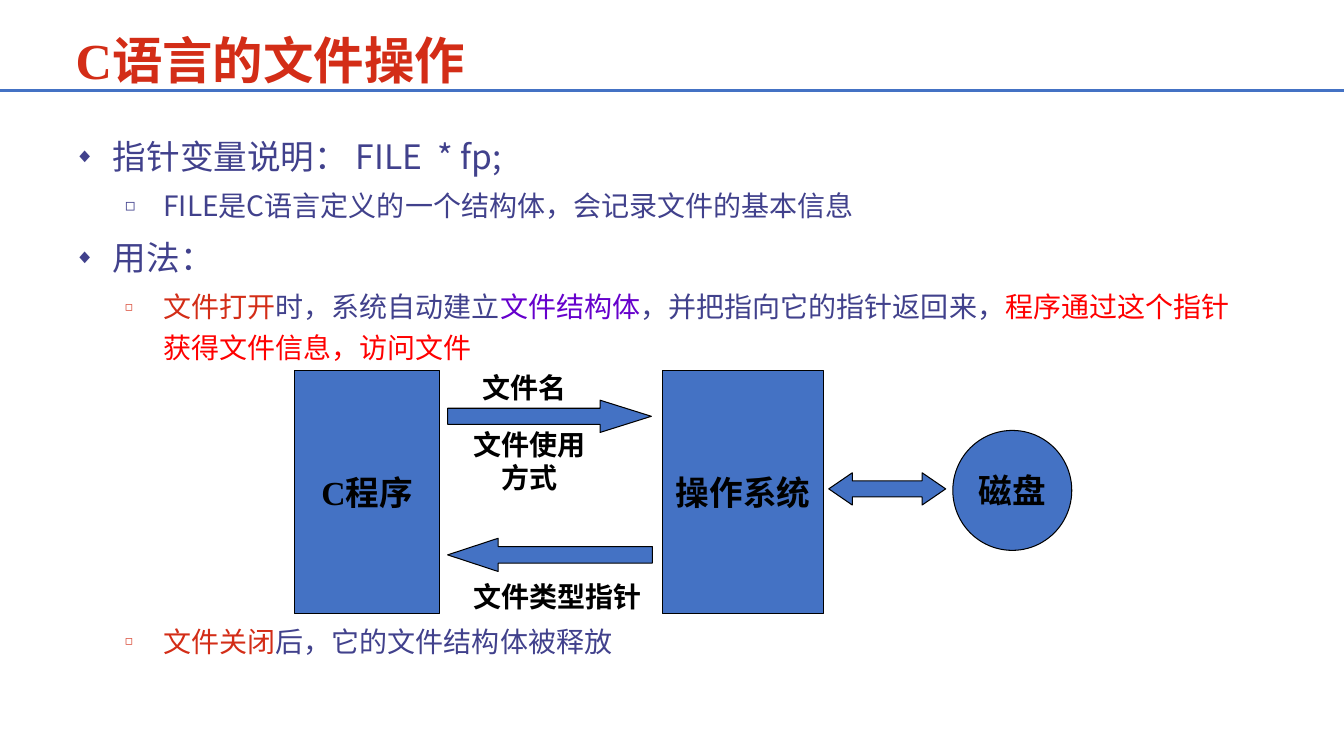
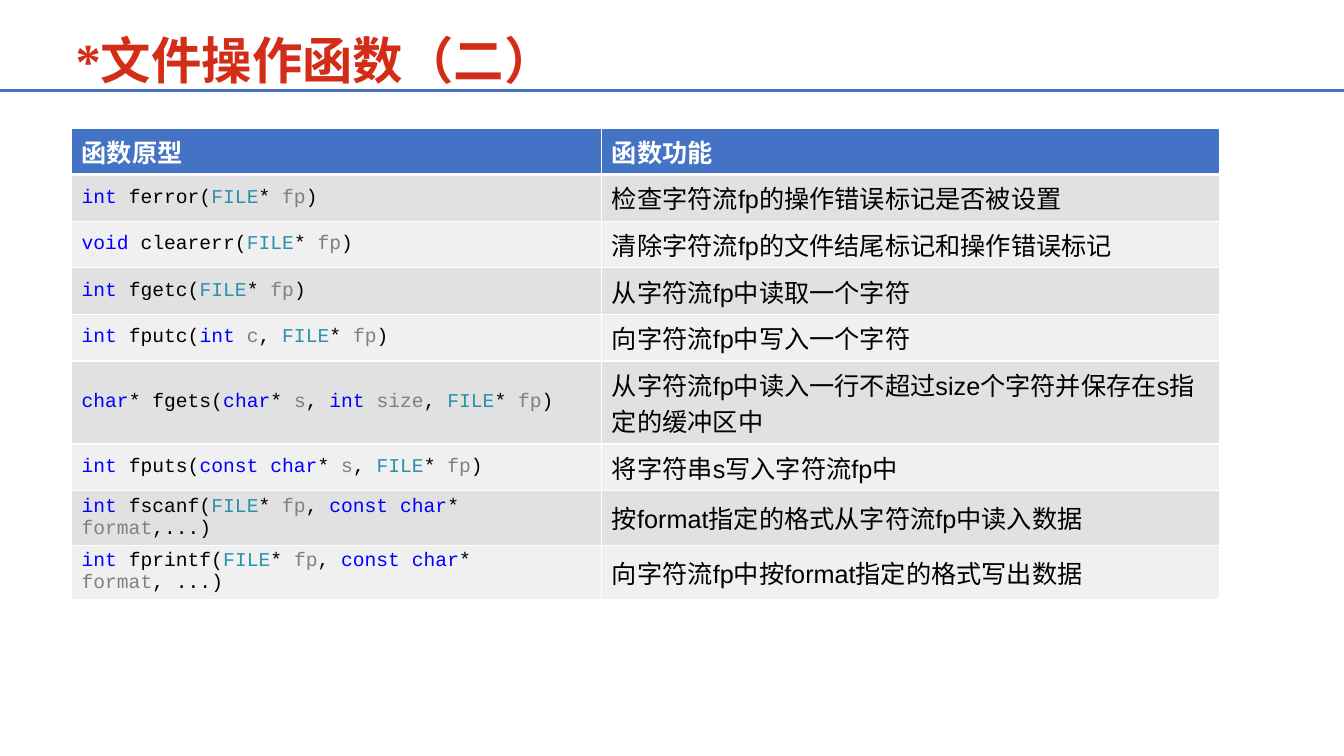
from itertools import groupby

from lxml import etree
from pptx import Presentation
from pptx.dml.color import RGBColor
from pptx.enum import shapes, text
from pptx.oxml import ns
from pptx.util import Inches, Pt

COLORS = {
    "title": "D32D17", "body": "41418C", "accent": "4472C4", "black": "000000",
    "white": "FFFFFF", "purple": "6600CC", "red": "FF0000",
    "keyword": "0000FF", "type": "2B91AF", "parameter": "808080",
    "odd_row": "E1E1E1", "even_row": "F0F0F0",
}
SERIF, SANS, MONO, CJK = "Times New Roman", "Arial", "Courier New", "Noto Sans CJK SC"
SLIDE_WIDTH, SLIDE_HEIGHT = 13.33, 7.5

# Bullet levels: character, font size, left margin
LEVELS = [("◆", 24, 0.38), ("◻", 20, 0.88)]
HANGING = 0.38

# Level, bullet size in percent, space before in points, coloured runs
USAGE_LIST = [
    (0, 60, 0, [("指针变量说明： FILE  * fp;", "body")]),
    (1, 60, 4, [("FILE是C语言定义的一个结构体，会记录文件的基本信息", "body")]),
    (0, 60, 5, [("用法：", "body")]),
    (1, 45, 4, [("文件打开", "title"), ("时，系统自动建立", "body"),
                ("文件结构体", "purple"), ("，并把指向它的指针返回来，", "body"),
                ("程序通过这个指针获得文件信息，访问文件", "red")]),
    (1, 45, 181, [("文件关闭", "title"), ("后，它的文件结构体被释放", "body")]),
]

TABLE_HEADER = ("函数原型", "函数功能")
FUNCTIONS = [
    ("int ferror(FILE* fp)", "检查字符流fp的操作错误标记是否被设置"),
    ("void clearerr(FILE* fp)", "清除字符流fp的文件结尾标记和操作错误标记"),
    ("int fgetc(FILE* fp)", "从字符流fp中读取一个字符"),
    ("int fputc(int c, FILE* fp)", "向字符流fp中写入一个字符"),
    ("char* fgets(char* s, int size, FILE* fp)",
     "从字符流fp中读入一行不超过size个字符并保存在s指定的缓冲区中"),
    ("int fputs(const char* s, FILE* fp)", "将字符串s写入字符流fp中"),
    ("int fscanf(FILE* fp, const char* format,...)",
     "按format指定的格式从字符流fp中读入数据"),
    ("int fprintf(FILE* fp, const char* format, ...)",
     "向字符流fp中按format指定的格式写出数据"),
]
SYNTAX = {
    **dict.fromkeys(("int", "void", "char", "const"), "keyword"),
    "FILE": "type",
    **dict.fromkeys(("fp", "c", "s", "size", "format"), "parameter"),
}


def rgb(name):
    return RGBColor.from_string(COLORS[name])


def add_element(parent, tag, **attributes):
    return etree.SubElement(parent, ns.qn(tag), attributes)


def style_run(run, size, color, face, bold=False):
    run.font.size = Pt(size)
    run.font.bold = bold
    run.font.color.rgb = rgb(color)
    run.font.name = face
    latin = run.font._element.find(ns.qn("a:latin"))
    latin.addnext(latin.makeelement(ns.qn("a:ea"), {"typeface": CJK}))


def add_run(paragraph, words, *style):
    run = paragraph.add_run()
    run.text = words
    style_run(run, *style)


def place(shape, left, top, width, height):
    shape.left, shape.top = Inches(left), Inches(top)
    shape.width, shape.height = Inches(width), Inches(height)


# Shared slide frame: title and rule
def add_titled_slide(presentation, layout_index, title):
    slide = presentation.slides.add_slide(presentation.slide_layouts[layout_index])
    rule = slide.shapes.add_connector(shapes.MSO_CONNECTOR.STRAIGHT, 0, Inches(0.9),
                                      Inches(SLIDE_WIDTH), Inches(0.9))
    rule.line.color.rgb = rgb("accent")
    rule.line.width = Pt(2.25)
    add_element(rule._element.spPr, "a:effectLst")

    place(slide.shapes.title, 0.65, 0.31, 10.59, 0.63)
    frame = slide.shapes.title.text_frame
    frame.text = title
    frame.auto_size = text.MSO_AUTO_SIZE.NONE
    frame.vertical_anchor = text.MSO_ANCHOR.BOTTOM
    paragraph = frame.paragraphs[0]
    paragraph.alignment = text.PP_ALIGN.LEFT
    style_run(paragraph.runs[0], 36, "title", SERIF, True)
    return slide


# Bulleted list in the body placeholder
def fill_list(body, items, left, top, width, height):
    place(body, left, top, width, height)
    frame = body.text_frame
    frame.auto_size = text.MSO_AUTO_SIZE.NONE
    for index, (level, bullet_size, space, runs) in enumerate(items):
        paragraph = frame.add_paragraph() if index else frame.paragraphs[0]
        bullet, size, margin = LEVELS[level]
        paragraph.level = level
        properties = paragraph._p.get_or_add_pPr()
        properties.set("marL", str(Inches(margin)))
        properties.set("indent", str(-Inches(HANGING)))
        add_element(properties, "a:buSzPct", val=str(bullet_size * 1000))
        add_element(properties, "a:buChar", char=bullet)
        paragraph.line_spacing = 1.2
        paragraph.space_before = Pt(space)
        for words, color in runs:
            add_run(paragraph, words, size, color, CJK)


# Diagram parts
def add_block(slide, preset, box, label=None, face=SERIF, head=None):
    shape = slide.shapes.add_shape(preset, *map(Inches, box))
    shape.shadow.inherit = False
    shape.fill.solid()
    shape.fill.fore_color.rgb = rgb("accent")
    shape.line.color.rgb = rgb("black")
    shape.line.width = Pt(0.75)
    if head:
        shape.adjustments[0] = 0.5
        shape.adjustments[1] = head
    if label:
        frame = shape.text_frame
        frame.text = label
        frame.word_wrap = False
        frame.vertical_anchor = text.MSO_ANCHOR.MIDDLE
        paragraph = frame.paragraphs[0]
        paragraph.alignment = text.PP_ALIGN.CENTER
        style_run(paragraph.runs[0], 24, "black", face, True)


def add_label(slide, box, words):
    frame = slide.shapes.add_textbox(*map(Inches, box)).text_frame
    frame.text = words
    frame.word_wrap = False
    frame.auto_size = text.MSO_AUTO_SIZE.SHAPE_TO_FIT_TEXT
    for paragraph in frame.paragraphs:
        paragraph.alignment = text.PP_ALIGN.CENTER
        paragraph.line_spacing = Pt(23.6)
        style_run(paragraph.runs[0], 20, "black", SERIF, True)


def draw_file_flow(slide, left, top, height):
    preset = shapes.MSO_SHAPE
    arrow_left = left + 1.52
    label_left = left + 1.67
    system_left = left + 3.65

    # Labels
    add_label(slide, (left + 1.76, top - 0.05, 1.04, 0.43), "文件名")
    add_label(slide, (label_left, top + 0.52, 1.32, 0.77), "文件使用\n方式")
    add_label(slide, (label_left, top + 2.03, 1.88, 0.43), "文件类型指针")

    # Program, system and disk
    add_block(slide, preset.RECTANGLE, (left, top, 1.44, height), "C程序")
    add_block(slide, preset.RECTANGLE, (system_left, top, 1.6, height), "操作系统", "Cabin")
    add_block(slide, preset.OVAL, (left + 6.53, top + 0.59, 1.18, 1.19), "磁盘", "Cabin")

    # Arrows
    add_block(slide, preset.RIGHT_ARROW, (arrow_left, top + 0.29, 2.02, 0.32), head=1.59)
    add_block(slide, preset.LEFT_ARROW, (arrow_left, top + 1.66, 2.03, 0.33), head=1.52)
    add_block(slide, preset.LEFT_RIGHT_ARROW, (left + 5.3, top + 1.01, 1.16, 0.32),
              head=0.73)


# Function table
def style_cell(cell, fill, top_width, bottom_width):
    cell.vertical_anchor = text.MSO_ANCHOR.MIDDLE
    properties = cell._tc.get_or_add_tcPr()
    for side, width in zip("LRTB", (1, 1, top_width, bottom_width)):
        border = add_element(properties, f"a:ln{side}", w=str(Pt(width)))
        solid = add_element(border, "a:solidFill")
        add_element(solid, "a:srgbClr", val=COLORS["white"])
    cell.fill.solid()
    cell.fill.fore_color.rgb = rgb(fill)


def write_code(paragraph, code):
    for _, letters in groupby(code, str.isalpha):
        token = "".join(letters)
        add_run(paragraph, token, 14, SYNTAX.get(token, "black"), MONO)


def add_function_table(slide, left, top, column_widths, row_height):
    row_count = len(FUNCTIONS) + 1
    box = (left, top, sum(column_widths), row_height * row_count)
    table = slide.shapes.add_table(row_count, len(column_widths),
                                   *map(Inches, box)).table
    table.horz_banding = False
    for column, width in zip(table.columns, column_widths):
        column.width = Inches(width)

    for column, heading in enumerate(TABLE_HEADER):
        cell = table.cell(0, column)
        style_cell(cell, "accent", 1, 3)
        add_run(cell.text_frame.paragraphs[0], heading, 18, "white", SANS, True)

    for row, (prototype, purpose) in enumerate(FUNCTIONS, start=1):
        code_cell, purpose_cell = table.cell(row, 0), table.cell(row, 1)
        for cell in (code_cell, purpose_cell):
            style_cell(cell, "odd_row" if row % 2 else "even_row", 3 if row == 1 else 1, 1)
        write_code(code_cell.text_frame.paragraphs[0], prototype)
        add_run(purpose_cell.text_frame.paragraphs[0], purpose, 18, "black", SANS)


def build_usage_slide(presentation):
    slide = add_titled_slide(presentation, 1, "C语言的文件操作")
    fill_list(slide.placeholders[1], USAGE_LIST, 0.64, 1.22, 11.89, 5.59)
    draw_file_flow(slide, 2.92, 3.68, 2.41)


def build_function_slide(presentation):
    slide = add_titled_slide(presentation, 5, "*文件操作函数（二）")
    add_function_table(slide, 0.71, 1.27, (5.26, 6.13), 0.41)


def main():
    presentation = Presentation()
    presentation.slide_width = Inches(SLIDE_WIDTH)
    presentation.slide_height = Inches(SLIDE_HEIGHT)
    build_usage_slide(presentation)
    build_function_slide(presentation)
    presentation.save("out.pptx")


if __name__ == "__main__":
    main()
